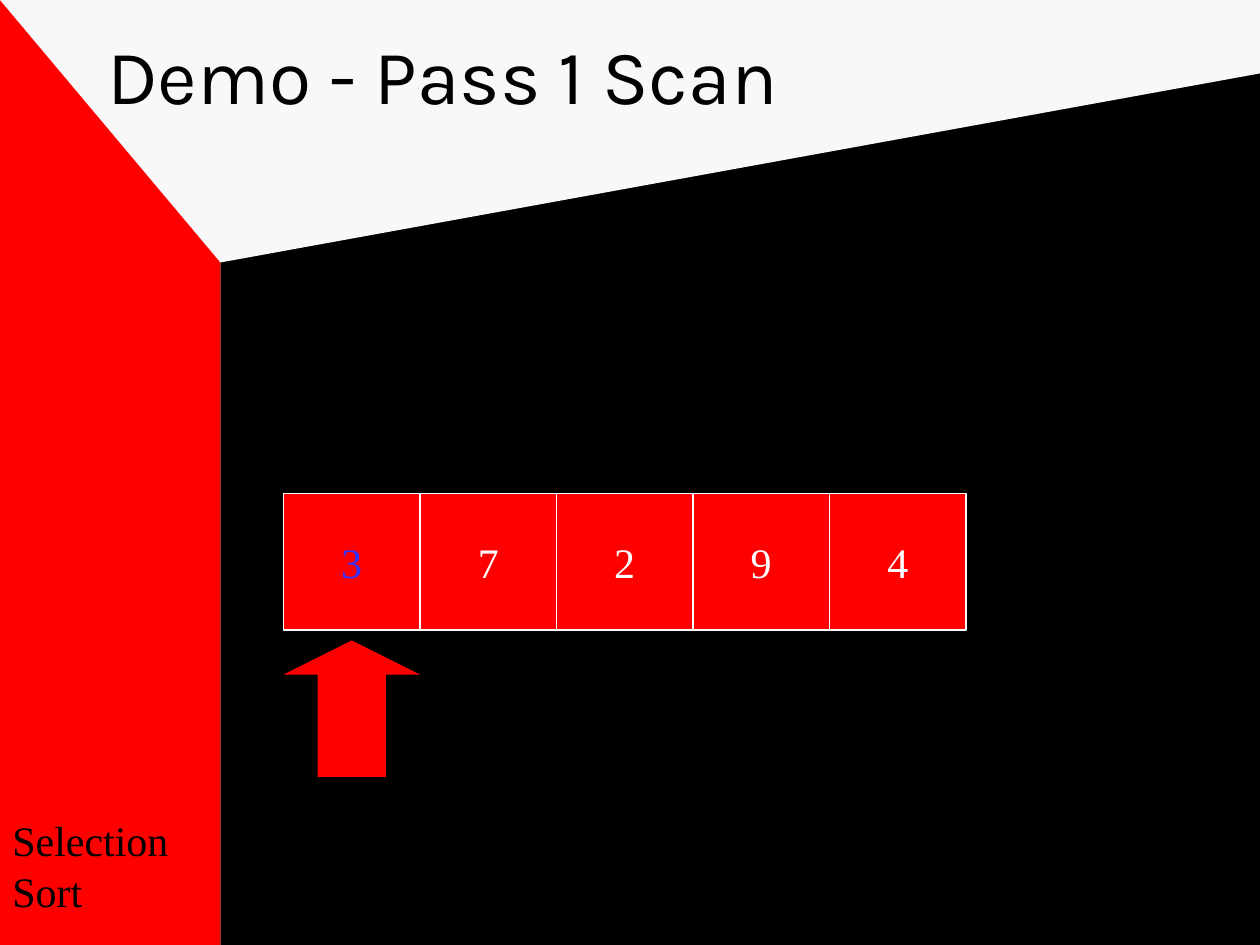
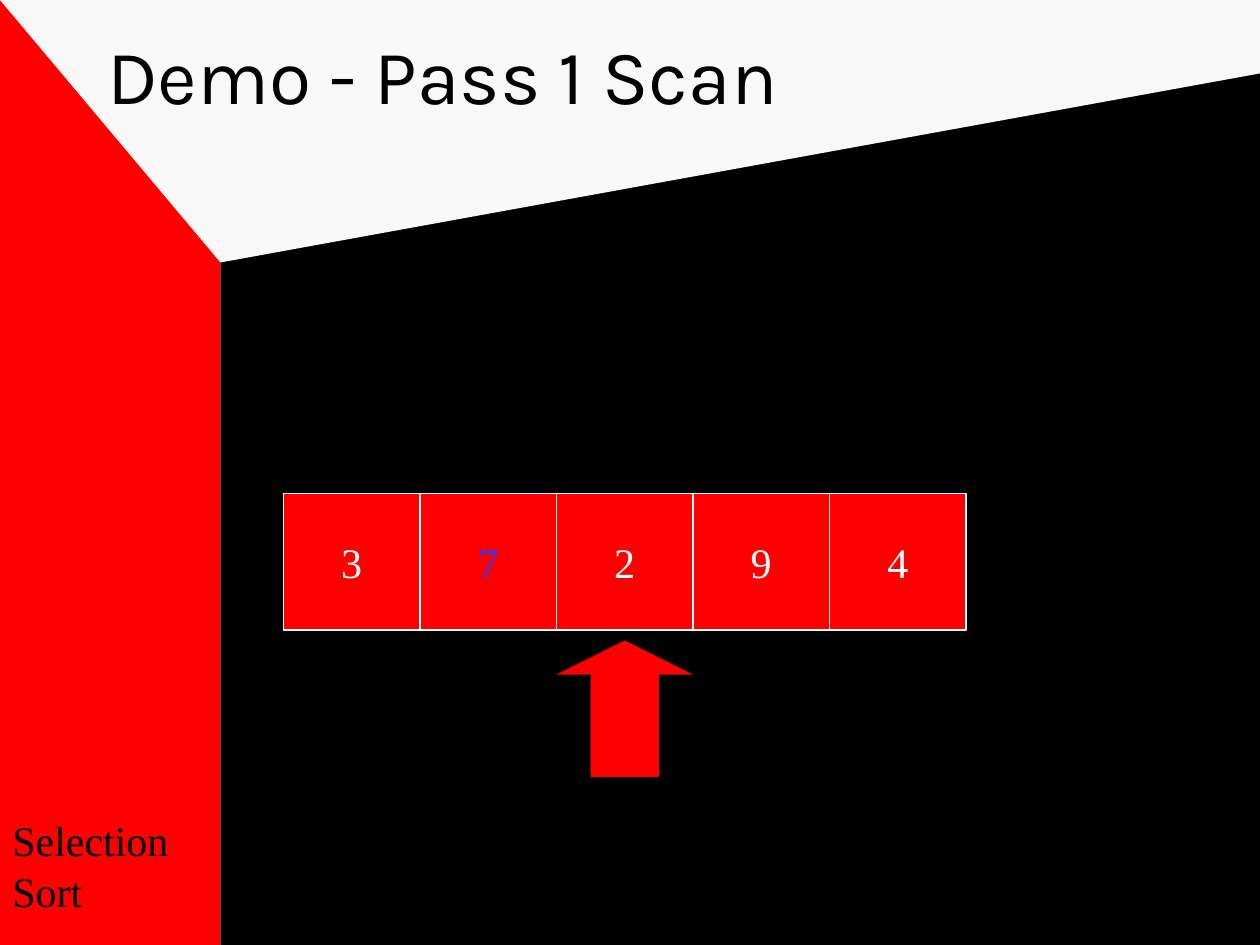
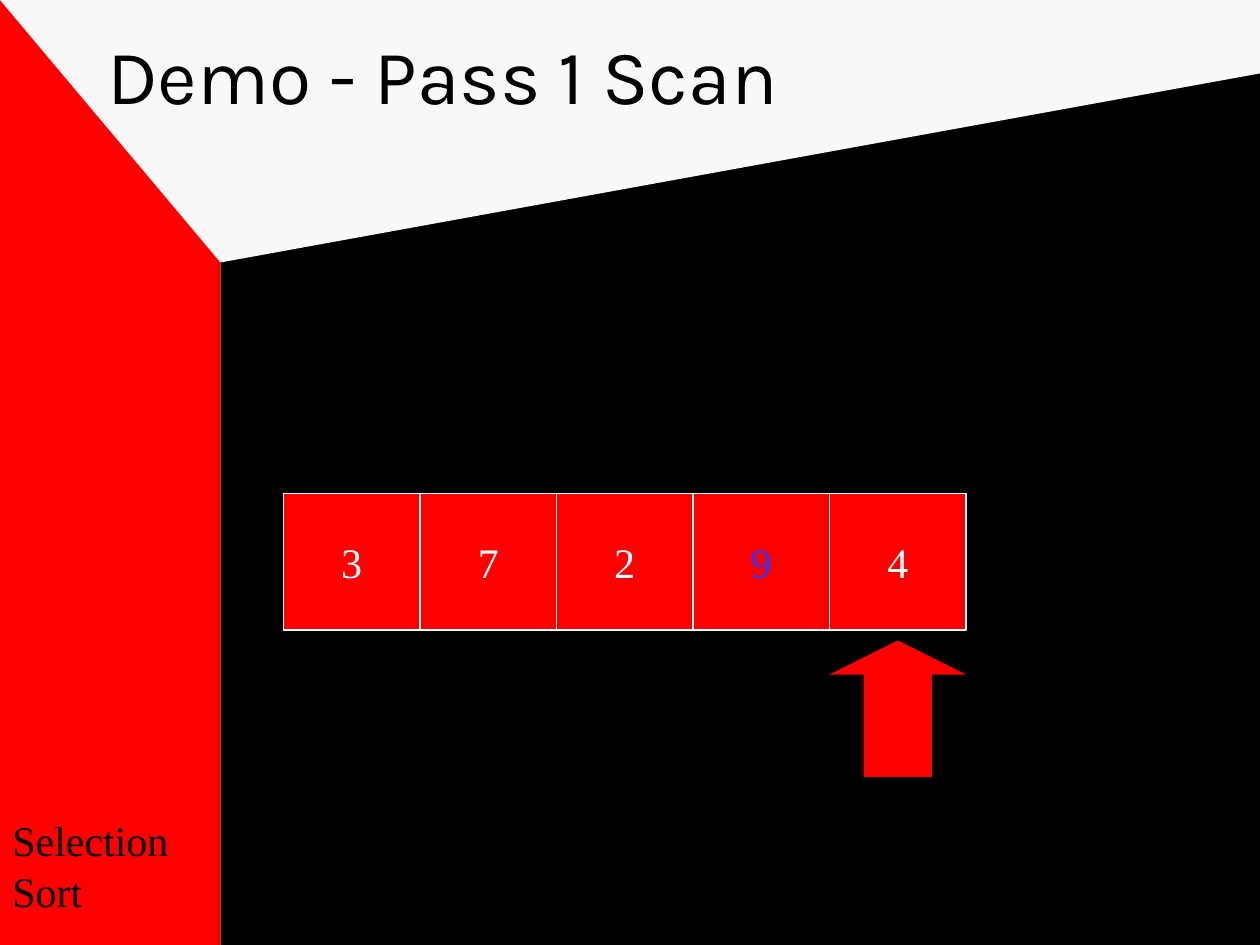
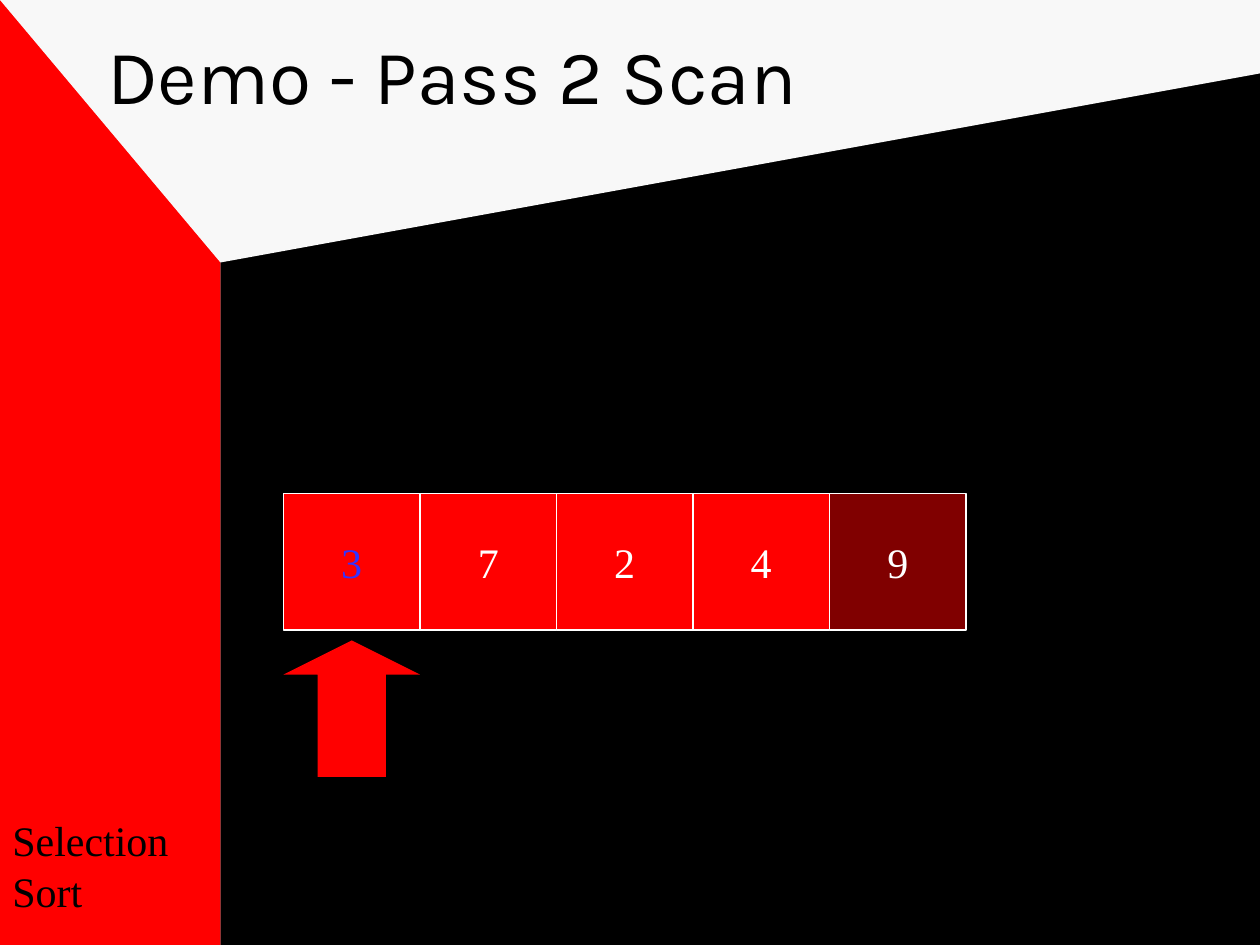
import lxml.etree
import pptx
import pptx.dml.color
import pptx.enum.shapes
import pptx.enum.text
import pptx.oxml.ns
import pptx.util

RGBColor = pptx.dml.color.RGBColor
MSO_SHAPE = pptx.enum.shapes.MSO_SHAPE
MSO_ANCHOR = pptx.enum.text.MSO_ANCHOR
PP_ALIGN = pptx.enum.text.PP_ALIGN

BLACK = RGBColor(0x00, 0x00, 0x00)
WHITE = RGBColor(0xFF, 0xFF, 0xFF)
RED = RGBColor(0xFF, 0x00, 0x00)
BLUE = RGBColor(0x33, 0x33, 0xFF)
PAPER = RGBColor(0xF8, 0xF8, 0xF8)
GREY = RGBColor(0x80, 0x80, 0x80)

TITLE_FONT = "Karla"
BODY_FONT = "Times New Roman"

COLUMNS, ROWS = 120, 90
UNIT = pptx.util.Inches(10) // COLUMNS
SIDEBAR = 21
TITLE_BOX = (9, 2, 102, 15)
TOPIC_BOX = (0, 77, SIDEBAR, 11)
ARRAY_BOX = (27, 47, 65, 13)
POINTER_GAP = 1

STEPS = [
    {"title": "Demo - Pass 1 Scan", "numbers": [3, 7, 2, 9, 4], "largest": 0, "pointer": 0},
    {"title": "Demo - Pass 1 Scan", "numbers": [3, 7, 2, 9, 4], "largest": 1, "pointer": 2},
    {"title": "Demo - Pass 1 Scan", "numbers": [3, 7, 2, 9, 4], "largest": 3, "pointer": 4},
    {"title": "Demo - Pass 2 Scan", "numbers": [3, 7, 2, 4, 9], "largest": 0, "pointer": 0,
     "sorted_from": 4},
]


def to_emu(box):
    return [round(length * UNIT) for length in box]


def style_text(frame, font_name, size, color, align=PP_ALIGN.LEFT):
    paragraph = frame.paragraphs[0]
    paragraph.alignment = align
    paragraph.font.name = font_name
    paragraph.font.size = pptx.util.Pt(size)
    paragraph.font.color.rgb = color
    return paragraph


def paint(shape, color):
    shape.shadow.inherit = False
    shape.fill.solid()
    shape.fill.fore_color.rgb = color
    shape.line.fill.background()
    return shape


def add_block(slide, preset, box, color):
    return paint(slide.shapes.add_shape(preset, *to_emu(box)), color)


def make_translucent(shape, percent):
    color = shape.element.spPr.find(".//" + pptx.oxml.ns.qn("a:srgbClr"))
    alpha = lxml.etree.SubElement(color, pptx.oxml.ns.qn("a:alpha"))
    alpha.set("val", str(percent * 1000))


def add_ceiling(slide):
    outline = slide.shapes.build_freeform(0, 0, scale=UNIT)
    outline.add_line_segments([(SIDEBAR, 25), (COLUMNS, 7), (COLUMNS, 0)])
    return paint(outline.convert_to_shape(), PAPER)


def add_topic(slide, box):
    topic = slide.shapes.add_textbox(*to_emu(box))
    topic.text_frame.word_wrap = True
    topic.text_frame.text = "Selection\vSort"
    paragraph = style_text(topic.text_frame, BODY_FONT, 24, BLACK)
    paragraph.space_before = pptx.util.Pt(15)
    return topic


def move_room_to_layout(layout, slide):
    layout.background.fill.solid()
    layout.background.fill.fore_color.rgb = GREY
    for placeholder in list(layout.placeholders)[1:]:
        layout.shapes.element.remove(placeholder.element)
    room = [
        add_block(slide, MSO_SHAPE.RECTANGLE, (SIDEBAR, 0, COLUMNS - SIDEBAR, ROWS), BLACK),
        add_block(slide, MSO_SHAPE.RECTANGLE, (0, 0, SIDEBAR, ROWS), RED),
        add_ceiling(slide),
        add_topic(slide, TOPIC_BOX),
    ]
    for depth, part in enumerate(room, start=2):
        layout.shapes.element.insert(depth, part.element)


def set_title(slide, box, wording):
    title = slide.shapes.title
    title.left, title.top, title.width, title.height = to_emu(box)
    title.text_frame.text = wording
    title.text_frame.auto_size = pptx.enum.text.MSO_AUTO_SIZE.NONE
    title.text_frame.vertical_anchor = MSO_ANCHOR.TOP
    style_text(title.text_frame, TITLE_FONT, 44, BLACK)


def add_array(slide, box, numbers, largest, pointer, sorted_from=None):
    left, top, width, height = box
    step = width / len(numbers)
    for index, number in enumerate(numbers):
        cell_box = (left + index * step, top, step, height)
        cell = add_block(slide, MSO_SHAPE.RECTANGLE, cell_box, RED)
        cell.line.color.rgb = WHITE
        cell.line.width = pptx.util.Pt(0.75)
        if sorted_from is not None and index >= sorted_from:
            make_translucent(cell, 50)
        cell.text_frame.text = str(number)
        cell.text_frame.word_wrap = False
        cell.text_frame.vertical_anchor = MSO_ANCHOR.MIDDLE
        color = BLUE if index == largest else WHITE
        style_text(cell.text_frame, BODY_FONT, 24, color, PP_ALIGN.CENTER)

    pointer_box = (left + pointer * step, top + height + POINTER_GAP, step, height)
    arrow = add_block(slide, MSO_SHAPE.UP_ARROW, pointer_box, RED)
    arrow.adjustments[0] = 0.5
    arrow.adjustments[1] = 0.25


def add_step(slide, title, **array):
    set_title(slide, TITLE_BOX, title)
    add_array(slide, ARRAY_BOX, **array)


def main():
    deck = pptx.Presentation()
    deck.slide_width = COLUMNS * UNIT
    deck.slide_height = ROWS * UNIT
    layout = deck.slide_layouts[5]
    slides = [deck.slides.add_slide(layout) for _ in STEPS]
    move_room_to_layout(layout, slides[0])
    for slide, step in zip(slides, STEPS):
        add_step(slide, **step)
    deck.save("out.pptx")


if __name__ == "__main__":
    main()
